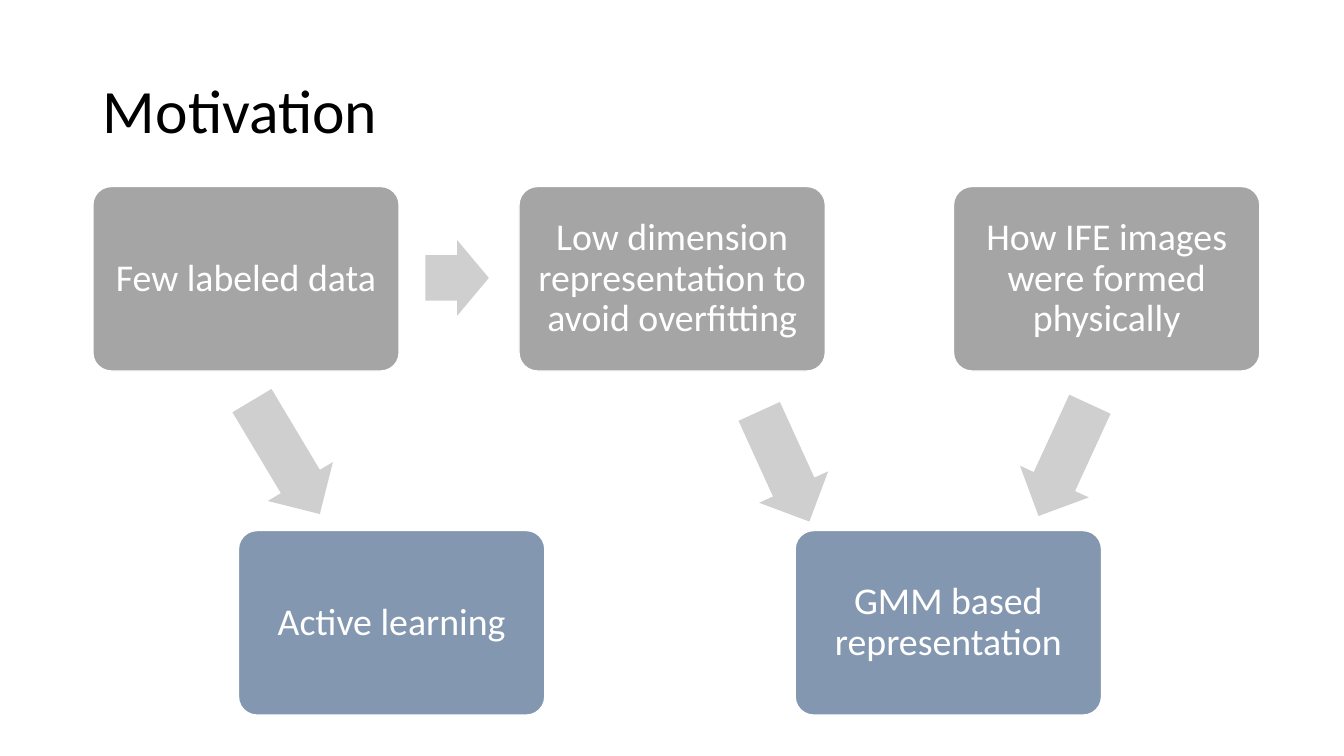
from dataclasses import dataclass

from pptx import Presentation
from pptx.dml.color import RGBColor
from pptx.enum.shapes import MSO_SHAPE
from pptx.enum.text import MSO_ANCHOR, MSO_AUTO_SIZE, PP_ALIGN
from pptx.util import Cm, Pt

FONT = "Calibri"
WHITE, BLACK = "FFFFFF", "000000"
CAUSE_GREY, IDEA_BLUE, ARROW_GREY = "A5A5A5", "8497B0", "CFCFCF"
BOX_WIDTH, BOX_HEIGHT = 7.72, 4.65
ARROW_HEIGHT = 1.91
TOP_ROW, BOTTOM_ROW = 4.7, 13.37


@dataclass
class Box:
    text: str
    left: float
    top: float
    fill: str


@dataclass
class Arrow:
    left: float
    top: float
    width: float
    rotation: float = 0


BOXES = [
    Box("Few labeled data", 2.34, TOP_ROW, CAUSE_GREY),
    Box("Low dimension representation to avoid overfitting", 13.08, TOP_ROW, CAUSE_GREY),
    Box("How IFE images were formed physically", 24.03, TOP_ROW, CAUSE_GREY),
    Box("Active learning", 6.01, BOTTOM_ROW, IDEA_BLUE),
    Box("GMM based representation", 20.04, BOTTOM_ROW, IDEA_BLUE),
]
ARROWS = [
    Arrow(10.72, 6.05, 1.6),
    Arrow(5.54, 10.57, 3.33, 59.1),
    Arrow(18.24, 10.8, 3.05, 65.5),
    Arrow(25.27, 10.64, 3.1, 114.7),
]


def color(value: str) -> RGBColor:
    return RGBColor.from_string(value)


def write_text(shape, text: str, *, size: float, font_color: str,
               alignment: PP_ALIGN, margin: float | None = None) -> None:
    frame = shape.text_frame
    frame.text = text
    frame.word_wrap = True
    frame.auto_size = MSO_AUTO_SIZE.NONE
    frame.vertical_anchor = MSO_ANCHOR.MIDDLE
    if margin is not None:
        frame.margin_left = frame.margin_right = Cm(margin)
        frame.margin_top = frame.margin_bottom = Cm(margin)
    paragraph = frame.paragraphs[0]
    paragraph.alignment = alignment
    paragraph.line_spacing = 0.9
    font = paragraph.runs[0].font
    font.name, font.size = FONT, Pt(size)
    font.color.rgb = color(font_color)


def draw_box(slide, box: Box) -> None:
    shape = slide.shapes.add_shape(
        MSO_SHAPE.ROUNDED_RECTANGLE,
        Cm(box.left), Cm(box.top), Cm(BOX_WIDTH), Cm(BOX_HEIGHT))
    shape.adjustments[0] = 0.1
    shape.shadow.inherit = False
    shape.fill.solid()
    shape.fill.fore_color.rgb = color(box.fill)
    shape.line.color.rgb = color(WHITE)
    shape.line.width = Pt(1)
    write_text(shape, box.text, size=27, font_color=WHITE,
               alignment=PP_ALIGN.CENTER, margin=0.3)


def draw_arrow(slide, arrow: Arrow) -> None:
    shape = slide.shapes.add_shape(
        MSO_SHAPE.RIGHT_ARROW,
        Cm(arrow.left), Cm(arrow.top), Cm(arrow.width), Cm(ARROW_HEIGHT))
    shape.adjustments[0] = 0.6
    shape.adjustments[1] = 0.5
    shape.rotation = arrow.rotation
    shape.shadow.inherit = False
    shape.fill.solid()
    shape.fill.fore_color.rgb = color(ARROW_GREY)
    shape.line.fill.background()


def main() -> None:
    presentation = Presentation()
    presentation.slide_width, presentation.slide_height = Cm(33.87), Cm(19.05)
    slide = presentation.slides.add_slide(presentation.slide_layouts[5])

    # Title
    title = slide.shapes.title
    title.left, title.top = Cm(2.34), Cm(1.02)
    title.width, title.height = Cm(29.21), Cm(3.68)
    write_text(title, "Motivation", size=44, font_color=BLACK, alignment=PP_ALIGN.LEFT)

    # Causes and the ideas that follow from them
    for box in BOXES:
        draw_box(slide, box)
    for arrow in ARROWS:
        draw_arrow(slide, arrow)

    presentation.save("out.pptx")


if __name__ == "__main__":
    main()
